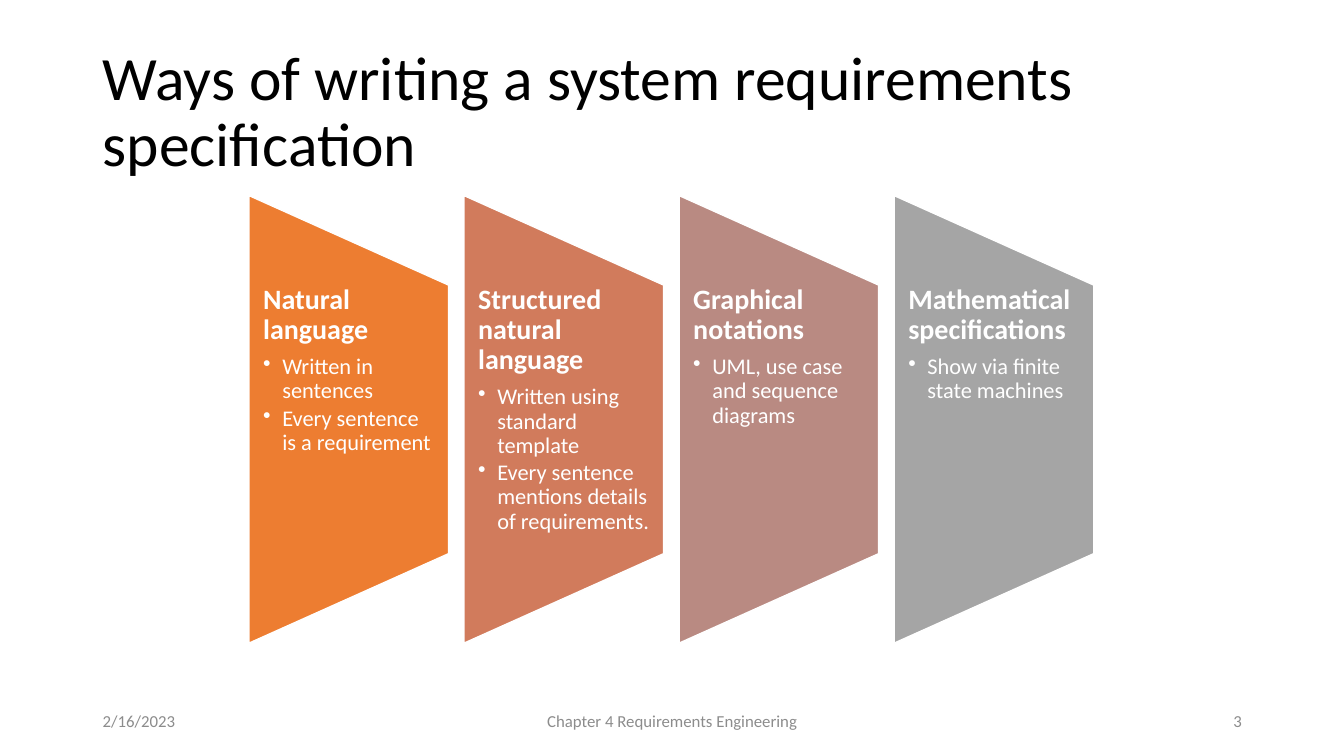
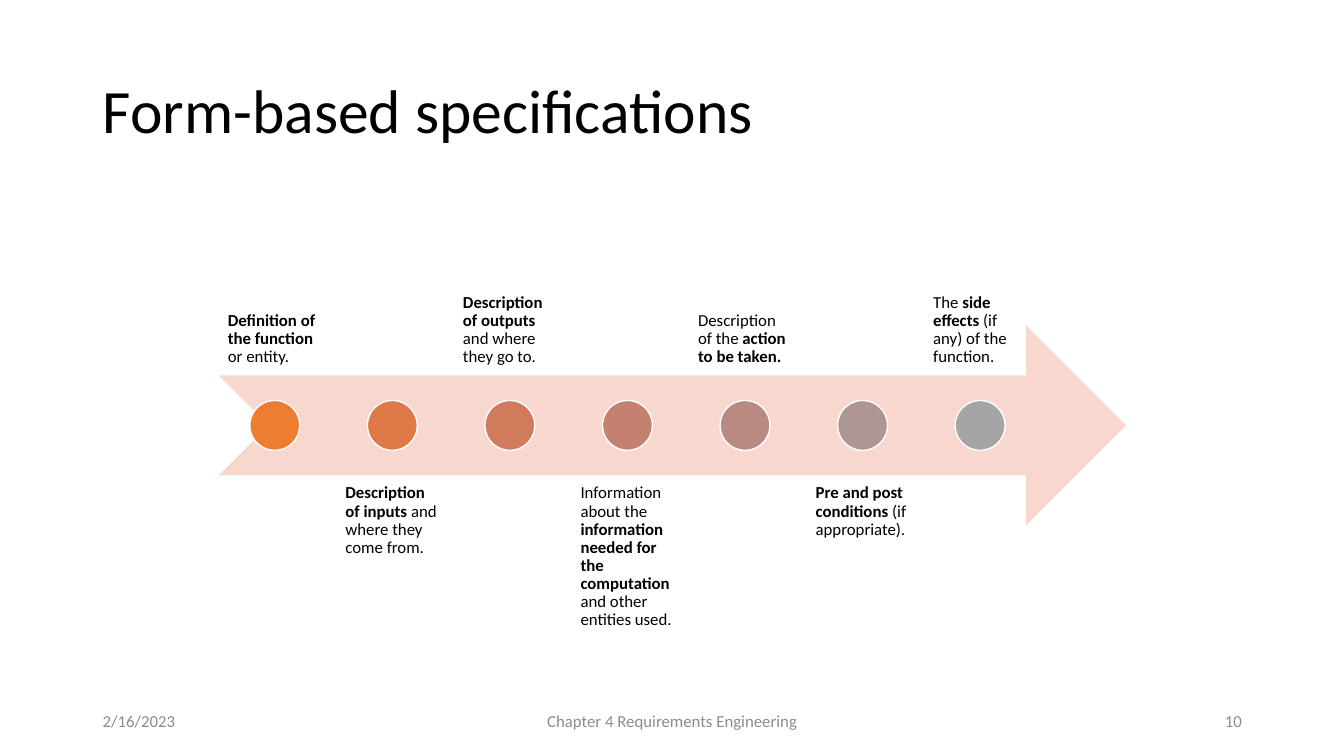
"""Build two slides on writing requirements specifications."""
import pptx
import pptx.dml.color
import pptx.enum.shapes
import pptx.enum.text
import pptx.oxml.ns
import pptx.util
from lxml import etree

RGBColor = pptx.dml.color.RGBColor
Pt = pptx.util.Pt
SHAPE = pptx.enum.shapes.MSO_SHAPE
ANCHOR = pptx.enum.text.MSO_ANCHOR
ALIGN = pptx.enum.text.PP_ALIGN

FONT = "Calibri"
BLACK = RGBColor(0x00, 0x00, 0x00)
WHITE = RGBColor(0xFF, 0xFF, 0xFF)
FOOTER_GREY = RGBColor(0x8C, 0x8C, 0x8C)
ARROW_PINK = RGBColor(0xF8, 0xD7, 0xCE)
ORANGE_TO_GREY = [
    RGBColor(0xED, 0x7D, 0x31),
    RGBColor(0xDE, 0x7A, 0x47),
    RGBColor(0xD1, 0x7B, 0x5C),
    RGBColor(0xC4, 0x81, 0x70),
    RGBColor(0xB9, 0x8A, 0x82),
    RGBColor(0xAE, 0x96, 0x94),
    RGBColor(0xA5, 0xA5, 0xA5),
]

deck = pptx.Presentation()
deck.slide_width = pptx.util.Inches(13.33)
deck.slide_height = pptx.util.Inches(7.5)
COL = deck.slide_width / 100
ROW = deck.slide_height / 100


def add_shape(slide, kind, box, fill, outlined=True):
    shape = slide.shapes.add_shape(kind, *map(round, box))
    shape.shadow.inherit = False
    shape.fill.solid()
    shape.fill.fore_color.rgb = fill
    if outlined:
        shape.line.color.rgb = WHITE
        shape.line.width = Pt(1)
    else:
        shape.line.fill.background()
    return shape


def add_runs(paragraph, runs, size, color, spacing=None, after=None):
    paragraph.line_spacing = spacing
    paragraph.space_after = after
    for text, bold in runs:
        run = paragraph.add_run()
        run.text = text
        run.font.name = FONT
        run.font.size = Pt(size)
        run.font.bold = bold
        run.font.color.rgb = color


pages = []
for heading, number in [
    ("Ways of writing a system requirements specification", "3"),
    ("Form-based specifications", "10"),
]:
    page = deck.slides.add_slide(deck.slide_layouts[5])
    pages.append(page)
    title = page.shapes.title
    title.left, title.top = round(6.9 * COL), round(5.33 * ROW)
    title.width, title.height = round(86.25 * COL), round(19.33 * ROW)
    title.text_frame.auto_size = pptx.enum.text.MSO_AUTO_SIZE.NONE
    title.text_frame.vertical_anchor = ANCHOR.MIDDLE
    title.text_frame.paragraphs[0].alignment = ALIGN.LEFT
    add_runs(title.text_frame.paragraphs[0], [(heading, False)], 44, BLACK, 0.9)

    for left, width, words, alignment in [
        (6.9, 22.5, "2/16/2023", ALIGN.LEFT),
        (33.15, 33.75, "Chapter 4 Requirements Engineering", ALIGN.CENTER),
        (70.65, 22.5, number, ALIGN.RIGHT),
    ]:
        footer = page.shapes.add_textbox(
            *map(round, (left * COL, 92.67 * ROW, width * COL, 5.33 * ROW))
        ).text_frame
        footer.word_wrap = True
        footer.vertical_anchor = ANCHOR.MIDDLE
        footer.paragraphs[0].alignment = alignment
        add_runs(footer.paragraphs[0], [(words, False)], 12, FOOTER_GREY)

ways_page, form_page = pages

WAYS = [
    ("Natural language", ["Written in sentences", "Every sentence is a requirement"]),
    (
        "Structured natural language",
        ["Written using standard template", "Every sentence mentions details of requirements."],
    ),
    ("Graphical notations", ["UML, use case and sequence diagrams"]),
    ("Mathematical specifications", ["Show via finite state machines"]),
]
panel_width, panel_height = 14.85 * COL, 59.2 * ROW
panel_top = 25.87 * ROW
bullet_indent = pptx.util.Inches(0.19)

for index, (way, details) in enumerate(WAYS):
    panel_left = (18.53 + 16 * index) * COL
    turned_left = panel_left + (panel_width - panel_height) / 2
    turned_top = panel_top + (panel_height - panel_width) / 2
    panel = add_shape(
        ways_page,
        SHAPE.FLOWCHART_MANUAL_OPERATION,
        (turned_left, turned_top, panel_height, panel_width),
        ORANGE_TO_GREY[2 * index],
    )
    panel.rotation = 270

    description = ways_page.shapes.add_textbox(
        *map(round, (panel_left, panel_top + 0.2 * panel_height, panel_width, 0.6 * panel_height))
    ).text_frame
    description.word_wrap = True
    description.margin_left = description.margin_right = pptx.util.Inches(0.14)
    description.margin_top = description.margin_bottom = 0
    add_runs(description.paragraphs[0], [(way, True)], 20, WHITE, 0.9, Pt(7))
    for detail in details:
        item = description.add_paragraph()
        properties = item._p.get_or_add_pPr()
        properties.set("marL", str(bullet_indent))
        properties.set("indent", str(-bullet_indent))
        etree.SubElement(properties, pptx.oxml.ns.qn("a:buChar")).set("char", "•")
        add_runs(item, [(detail, False)], 16, WHITE, 0.9, Pt(2.4))

FIELDS = [
    [("Definition of the function ", True), ("or entity.", False)],
    [("Description of inputs ", True), ("and where they come from.", False)],
    [("Description of outputs ", True), ("and where they go to.", False)],
    [
        ("Information about the ", False),
        ("information needed for the computation ", True),
        ("and other entities used.", False),
    ],
    [("Description of the ", False), ("action to be taken.", True)],
    [("Pre and post conditions", True), (" (if appropriate).", False)],
    [("The ", False), ("side effects", True), (" (if any) of the function.", False)],
]
arrow_left, arrow_top = 16.28 * COL, 43.07 * ROW
arrow_width, arrow_height = 67.5 * COL, 26.4 * ROW
label_width = 8.33 * COL
label_pitch = 1.05 * label_width
dot_size = arrow_height / 4

add_shape(
    form_page,
    SHAPE.NOTCHED_RIGHT_ARROW,
    (arrow_left, arrow_top, arrow_width, arrow_height),
    ARROW_PINK,
    outlined=False,
)
for index, (field, color) in enumerate(zip(FIELDS, ORANGE_TO_GREY)):
    above = index % 2 == 0
    label_left = arrow_left + index * label_pitch
    label_top = arrow_top + (-0.75 if above else 0.75) * arrow_height
    label = form_page.shapes.add_textbox(
        *map(round, (label_left, label_top, label_width, arrow_height))
    ).text_frame
    label.word_wrap = True
    label.vertical_anchor = ANCHOR.BOTTOM if above else ANCHOR.TOP
    label.margin_left = label.margin_right = pptx.util.Inches(0.09)
    label.margin_top = label.margin_bottom = pptx.util.Inches(0.09)
    add_runs(label.paragraphs[0], field, 12, BLACK, 0.9)

    dot_left = label_left + (label_width - dot_size) / 2
    dot_top = arrow_top + (arrow_height - dot_size) / 2
    add_shape(form_page, SHAPE.OVAL, (dot_left, dot_top, dot_size, dot_size), color)

deck.save("out.pptx")
